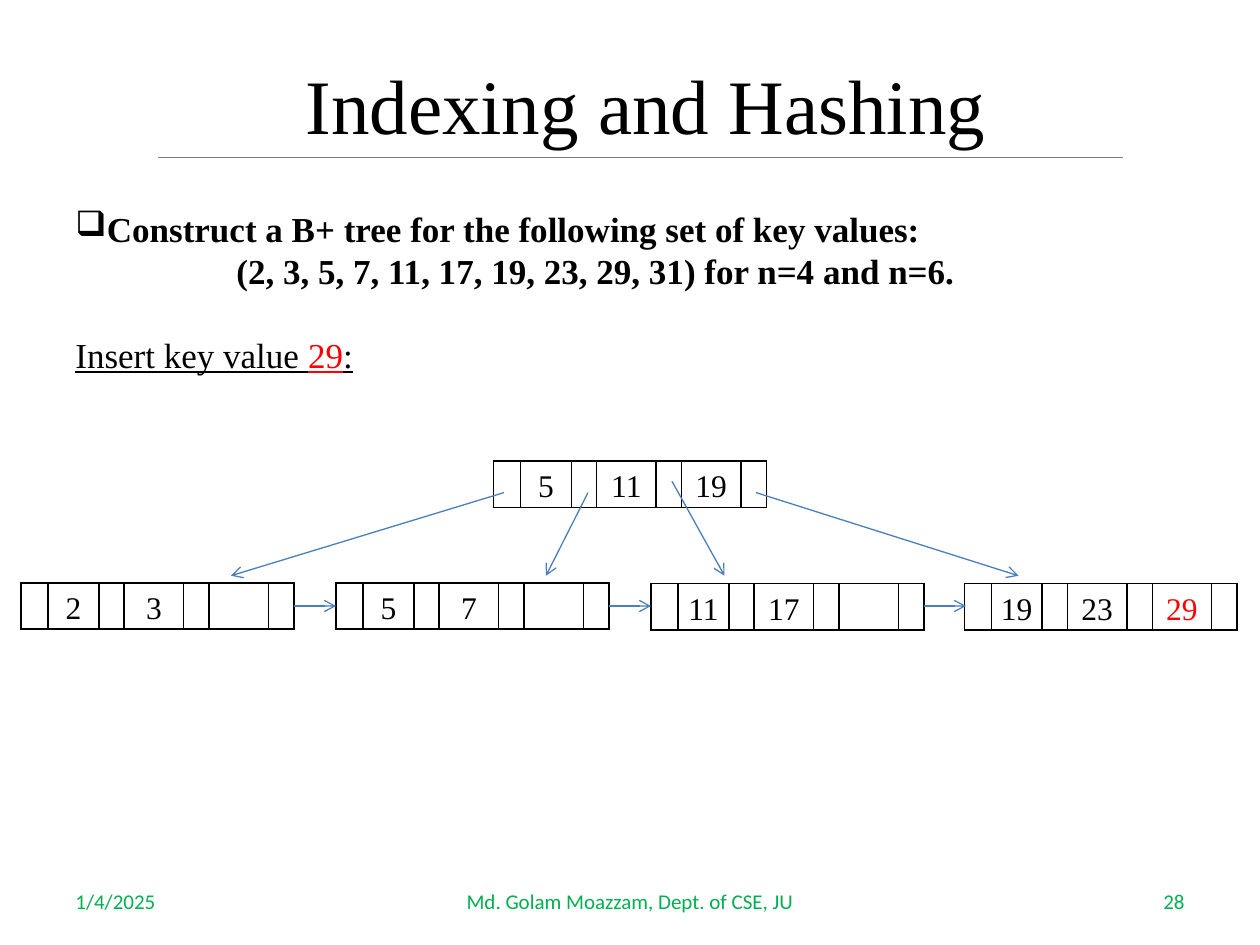
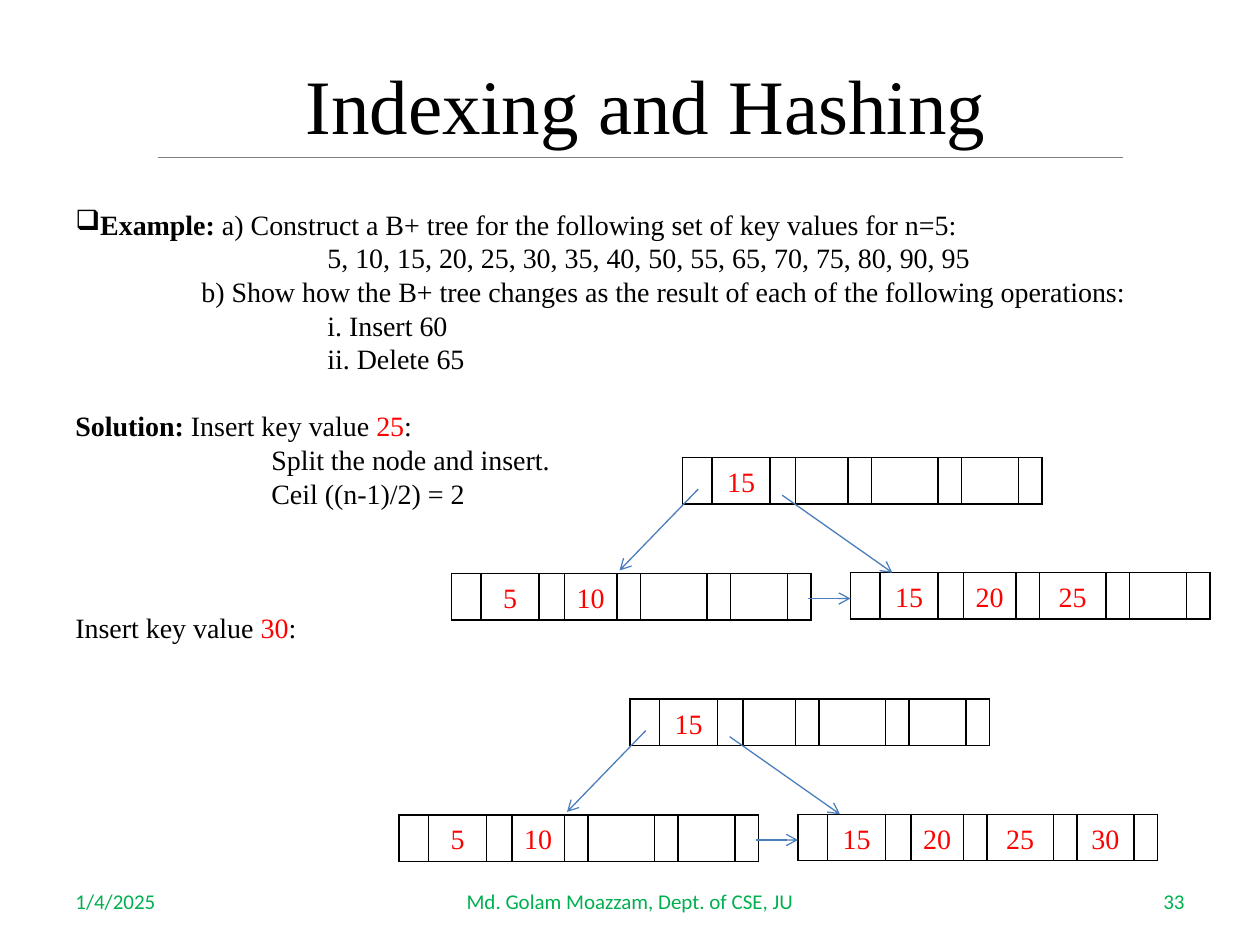
"""Build two slides on B+ tree insertion."""
from lxml import etree
from pptx import Presentation
from pptx.dml.color import RGBColor
from pptx.enum.shapes import MSO_CONNECTOR as Connector
from pptx.enum.text import MSO_ANCHOR as Anchor, PP_ALIGN as Align
from pptx.oxml.ns import qn
from pptx.util import Pt

SERIF, SANS = "Times New Roman", "Calibri"
BLACK, RED, GREEN, BLUE, GRAY = "000000", "FF0000", "00B050", "4B7EBC", "7F7F7F"
ROW_HEIGHT = 26.5


def color(hex_value):
    return RGBColor.from_string(hex_value)


def add_run(paragraph, text, size, hex_value=BLACK, style="", name=SERIF):
    run = paragraph.add_run()
    run.text = text
    run.font.name = name
    run.font.size = Pt(size)
    run.font.color.rgb = color(hex_value)
    run.font.bold = "b" in style
    run.font.underline = "u" in style


# Text lines: indent, blank lines before, runs (text, colour, style)
# Nodes: left, top, keys; arrows: start x, start y, end x, end y
page_28 = {
    "number": "28",
    "text_size": 20,
    "bullet_indent": 18,
    "lines": [
        (None, 0, [("Construct a B+ tree for the following set of key values:", BLACK, "b")]),
        (92, 0, [("(2, 3, 5, 7, 11, 17, 19, 23, 29, 31) for n=4 and n=6.", BLACK, "b")]),
        (0, 1, [("Insert key value ", BLACK, "u"), ("29", RED, "u"), (":", BLACK, "u")]),
    ],
    "key_size": 18,
    "red_keys": ["29"],
    "columns": [15.5, 29, 14.5, 34, 14.5, 34, 14.5],
    "nodes": [
        (282, 263.5, ["5", "11", "19"]),
        (12, 333, ["2", "3"]),
        (192, 333, ["5", "7"]),
        (372, 333.5, ["11", "17"]),
        (551, 333.5, ["19", "23", "29"]),
    ],
    "arrows": [
        (288, 281.5, 132, 329),
        (336, 281.5, 312, 329),
        (384, 275, 414, 329),
        (432, 281.5, 582, 329),
    ] + [(168 + 180 * i, 346.3, 192 + 180 * i, 346.3) for i in range(3)],
}

page_33 = {
    "number": "33",
    "text_size": 16,
    "bullet_indent": 14,
    "lines": [
        (None, 0, [("Example:", BLACK, "b"),
                   (" a) Construct a B+ tree for the following set of key values for n=5:", BLACK, "")]),
        (144, 0, [("5, 10, 15, 20, 25, 30, 35, 40, 50, 55, 65, 70, 75, 80, 90, 95", BLACK, "")]),
        (72, 0, [("b) Show how the B+ tree changes as the result of each of the following operations:",
                  BLACK, "")]),
        (144, 0, [("i. Insert 60", BLACK, "")]),
        (144, 0, [("ii. Delete 65", BLACK, "")]),
        (0, 1, [("Solution: ", BLACK, "b"), ("Insert key value ", BLACK, ""),
                ("25", RED, ""), (":", BLACK, "")]),
        (112, 0, [("Split the node and insert.", BLACK, "")]),
        (112, 0, [("Ceil ((n-1)/2) = 2", BLACK, "")]),
        (0, 3, [("Insert key value ", BLACK, ""), ("30", RED, ""), (":", BLACK, "")]),
    ],
    "key_size": 16,
    "red_keys": ["5", "10", "15", "20", "25", "30"],
    "columns": [17, 33, 14.5, 30, 13.5, 38, 13.5, 32.5, 13.5],
    "nodes": [],
    "arrows": [],
}
for dx, dy, right_keys in [(0, 0, ["15", "20", "25"]), (-30, 138, ["15", "20", "25", "30"])]:
    page_33["nodes"] += [
        (390 + dx, 261.5 + dy, ["15"]),
        (258 + dx, 327.7 + dy, ["5", "10"]),
        (486 + dx, 327.3 + dy, right_keys),
    ]
    page_33["arrows"] += [
        (399 + dx, 279.5 + dy, 354 + dx, 326 + dy),
        (447 + dx, 283 + dy, 510 + dx, 327.3 + dy),
        (462 + dx, 342 + dy, 486 + dx, 342 + dy),
    ]

presentation = Presentation()
presentation.slide_width, presentation.slide_height = Pt(720), Pt(540)

for page in [page_28, page_33]:
    slide = presentation.slides.add_slide(presentation.slide_layouts[5])

    title = slide.shapes.title
    title.left, title.top, title.width, title.height = Pt(96), Pt(27.5), Pt(546), Pt(63)
    title.text_frame.vertical_anchor = Anchor.MIDDLE
    title_paragraph = title.text_frame.paragraphs[0]
    title_paragraph.alignment = Align.CENTER
    add_run(title_paragraph, "Indexing and Hashing", 44)

    body = slide.shapes.add_textbox(Pt(36), Pt(115), Pt(648), Pt(380)).text_frame
    body.word_wrap = True
    size = page["text_size"]
    for index, (indent, blank_lines, runs) in enumerate(page["lines"]):
        paragraph = body.add_paragraph() if index else body.paragraphs[0]
        paragraph.line_spacing = Pt(1.2 * size)
        if blank_lines:
            paragraph.space_before = Pt(1.2 * size * blank_lines)
        properties = paragraph._p.get_or_add_pPr()
        if indent is None:
            indent = page["bullet_indent"]
            properties.set("indent", str(-Pt(indent)))
            etree.SubElement(properties, qn("a:buChar")).set("char", "❑")
        properties.set("marL", str(Pt(indent)))
        for text, hex_value, style in runs:
            add_run(paragraph, text, size, hex_value, style)

    for left, width, alignment, text in [
        (36, 168, Align.LEFT, "1/4/2025"),
        (516, 168, Align.RIGHT, page["number"]),
        (246, 228, Align.CENTER, "Md. Golam Moazzam, Dept. of CSE, JU"),
    ]:
        footer = slide.shapes.add_textbox(Pt(left), Pt(500.5), Pt(width), Pt(28.75)).text_frame
        footer.word_wrap = True
        footer.vertical_anchor = Anchor.MIDDLE
        footer.paragraphs[0].alignment = alignment
        add_run(footer.paragraphs[0], text, 12, GREEN, name=SANS)

    for left, top, keys in page["nodes"]:
        columns = page["columns"]
        table = slide.shapes.add_table(
            1, len(columns), Pt(left), Pt(top), Pt(sum(columns)), Pt(ROW_HEIGHT)).table
        table.first_row = table.horz_banding = False
        for column, width in zip(table.columns, columns):
            column.width = Pt(width)
        for index, cell in enumerate(table.rows[0].cells):
            cell.margin_left = cell.margin_right = Pt(5)
            cell.margin_top = cell.margin_bottom = Pt(0)
            cell.vertical_anchor = Anchor.MIDDLE
            cell_properties = cell._tc.get_or_add_tcPr()
            for side in ["a:lnL", "a:lnR", "a:lnT", "a:lnB"]:
                border = etree.SubElement(cell_properties, qn(side), w=str(Pt(1)))
                border_fill = etree.SubElement(border, qn("a:solidFill"))
                etree.SubElement(border_fill, qn("a:srgbClr"), val=BLACK)
            cell.fill.background()
            paragraph = cell.text_frame.paragraphs[0]
            paragraph.font.size = Pt(page["key_size"])
            if index % 2 and index // 2 < len(keys):
                key = keys[index // 2]
                paragraph.alignment = Align.CENTER
                paragraph.line_spacing = 1.15
                add_run(paragraph, key, page["key_size"], RED if key in page["red_keys"] else BLACK)

    title_rule = (90, 90, 642, 90)
    for ends in [title_rule] + page["arrows"]:
        connector = slide.shapes.add_connector(Connector.STRAIGHT, *[Pt(end) for end in ends])
        connector.line.width = Pt(0.75)
        connector.line.color.rgb = color(GRAY if ends == title_rule else BLUE)
        if ends != title_rule:
            etree.SubElement(connector.line._get_or_add_ln(), qn("a:tailEnd"), type="arrow")
        etree.SubElement(connector._element.spPr, qn("a:effectLst"))

presentation.save("out.pptx")
